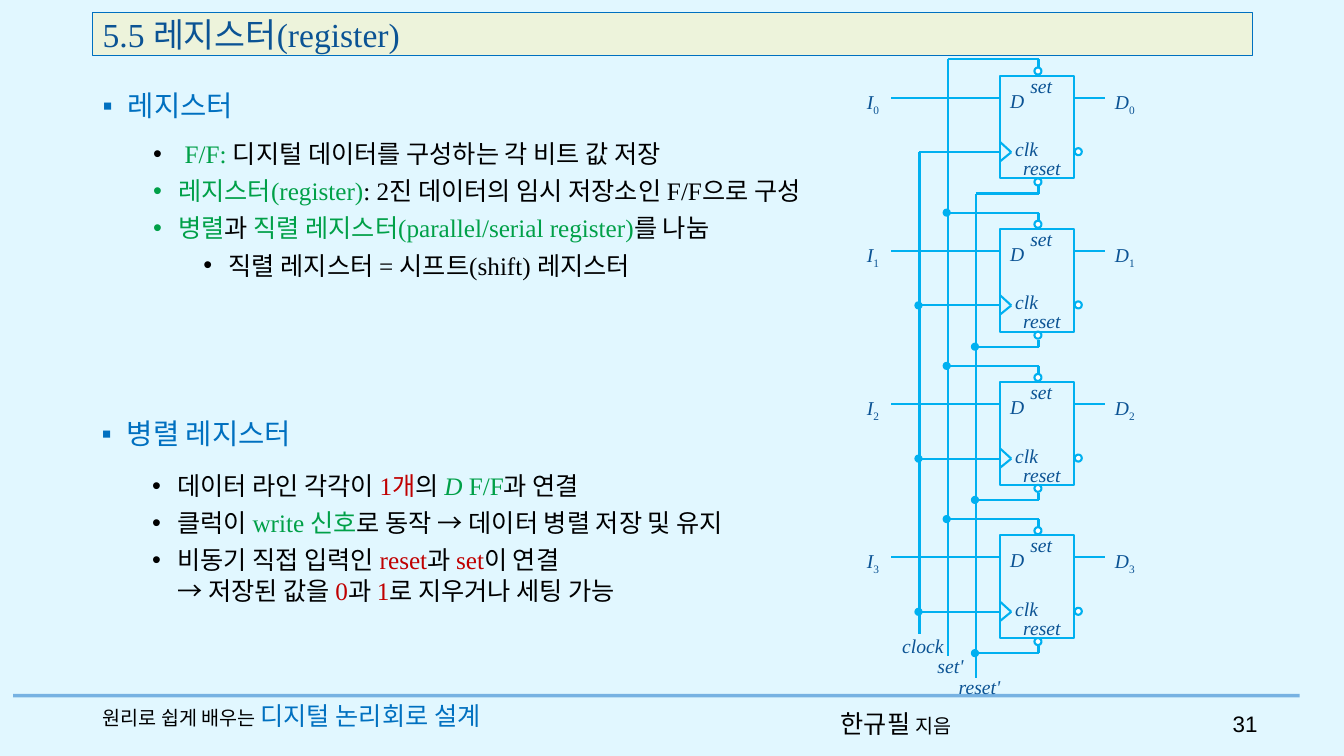
from lxml import etree
from pptx import Presentation
from pptx.dml.color import RGBColor
from pptx.enum import shapes, text
from pptx.oxml import ns
from pptx.util import Inches, Pt

# Content: a run is (text, colour) or (text, colour, {font option: value})
SERIF, KOREAN = "Times New Roman", "Noto Sans CJK KR"
BLACK, GREEN, RED, BLUE = "000000", "00A048", "C00000", "0070C0"
NAVY, WIRE, PAPER, WHITE = "0B5394", "00B0F0", "E1F7FF", "FFFFFF"

TITLE = "5.5 레지스터(register)"
HEADINGS = [("레지스터", 0.92, 0.91), ("병렬 레지스터", 0.91, 4.17)]
# Each bullet is (indent, runs)
BULLETS = [
    ((0.92, 1.32, 7.74, 1.99), [
        (0.75, [(" ", BLACK), ("F/F:", GREEN),
                (" 디지털 데이터를 구성하는 각 비트 값 저장", BLACK)]),
        (0.75, [("레지스터(register)", GREEN),
                (": 2진 데이터의 임시 저장소인 F/F으로 구성", BLACK)]),
        (0.75, [("병렬", GREEN), ("과 ", BLACK),
                ("직렬 레지스터(parallel/serial register)", GREEN), ("를 나눔", BLACK)]),
        (1.25, [("직렬 레지스터 = 시프트(shift) 레지스터", BLACK)]),
    ]),
    ((0.91, 4.61, 6.92, 1.91), [
        (0.75, [("데이터 라인 각각이 ", BLACK), ("1개", RED), ("의 ", BLACK),
                ("D ", GREEN, {"italic": True}), ("F/F", GREEN), ("과 연결", BLACK)]),
        (0.75, [("클럭이 ", BLACK), ("write 신호", GREEN),
                ("로 동작 → 데이터 병렬 저장 및 유지", BLACK)]),
        (0.75, [("비동기 직접 입력인 ", BLACK), ("reset", RED), ("과 ", BLACK),
                ("set", RED), ("이 연결 \n→ 저장된 값을 ", BLACK), ("0", RED),
                ("과 ", BLACK), ("1", RED), ("로 지우거나 세팅 가능", BLACK)]),
    ]),
]
BOOK = [("원리로 쉽게 배우는 ", BLACK, {"size": Pt(14)}),
        ("디지털 논리회로 설계", BLUE, {"size": Pt(18)})]
AUTHOR = [("한규필 ", BLACK, {"size": Pt(18)}), ("지음", BLACK, {"size": Pt(14)})]
PAGE = "31"

# Circuit: bus x, top, bottom; label text, left, top, width
CLOCK_X, SET_X, RESET_X = 9.12, 9.4, 9.68
BUSES = [(CLOCK_X, 1.51, 6.29), (SET_X, 0.59, 6.51), (RESET_X, 1.92, 6.73)]
BUS_LABELS = [("clock", 8.85, 6.24, 0.62), ("set'", 9.2, 6.44, 0.46),
              ("reset'", 9.41, 6.65, 0.62)]
# Pin labels: text, left, offset from flip-flop top, width
PIN_LABELS = [("D", 9.92, 0.08, 0.34), ("clk", 9.97, 0.56, 0.43),
              ("set", 10.12, -0.07, 0.42), ("reset", 10.05, 0.75, 0.58)]
DATA_LABELS = [("I", 8.5, 0.33), ("D", 10.96, 0.41)]
FF_COUNT, FF_TOP, FF_PITCH = 4, 0.75, 1.52
FF_LEFT, FF_WIDTH, FF_HEIGHT, PIN_X = 9.92, 0.73, 1.02, 10.3
BUBBLE, DOT = 0.07, 0.06

prs = Presentation()
prs.slide_width, prs.slide_height = Inches(13.33), Inches(7.5)
s = prs.slides.add_slide(prs.slide_layouts[6])


def rgb(value):
    return RGBColor.from_string(value)


def sub(parent, tag, **attrs):
    return etree.SubElement(parent, ns.qn(tag), attrs)


def fill_paragraph(p, runs, size, font=SERIF, bullet=None, indent=0):
    if bullet:
        pPr = p._p.get_or_add_pPr()
        pPr.set("marL", str(Inches(indent)))
        pPr.set("indent", str(Inches(-0.25)))
        sub(pPr, "a:buFont", typeface="Arial")
        sub(pPr, "a:buChar", char=bullet)
    p.font.size, p.font.name = Pt(size), font
    sub(p._p.pPr.find(ns.qn("a:defRPr")), "a:ea", typeface=KOREAN)
    for content, color, *options in runs:
        for n, part in enumerate(content.split("\n")):
            if n:
                p.add_line_break()
            r = p.add_run()
            r.text = part
            r.font.color.rgb = rgb(color)
            for key, value in (options[0] if options else {}).items():
                setattr(r.font, key, value)


def text_box(x, y, w, h, anchor=text.MSO_ANCHOR.TOP, wrap=True):
    tf = s.shapes.add_textbox(*map(Inches, (x, y, w, h))).text_frame
    tf.word_wrap, tf.vertical_anchor = wrap, anchor
    return tf


def shape(kind, x, y, w, h, fill, line=WIRE, width=1.5):
    sp = s.shapes.add_shape(kind, *map(Inches, (x, y, w, h)))
    sp.shadow.inherit = False
    sp.fill.solid()
    sp.fill.fore_color.rgb = rgb(fill)
    sp.line.color.rgb, sp.line.width = rgb(line), Pt(width)
    return sp


def circle(x, y, size, fill):
    shape(shapes.MSO_SHAPE.OVAL, x, y, size, size, fill)


def wire(x1, y1, x2, y2, color=WIRE, width=1.5):
    c = s.shapes.add_connector(shapes.MSO_CONNECTOR.STRAIGHT,
                               *map(Inches, (x1, y1, x2, y2)))
    c.line.color.rgb, c.line.width = rgb(color), Pt(width)
    sub(c._element.spPr, "a:effectLst")
    return c


def label(name, x, y, w, index=None):
    runs = [(name, NAVY, {"italic": True})]
    if index is not None:
        runs.append((str(index), NAVY))
    p = text_box(x, y, w, 0.34, wrap=False).paragraphs[0]
    fill_paragraph(p, runs, 14)
    if index is not None:
        p.runs[1].font._element.set("baseline", "-25000")


def tap(bus_x, y, end_x, joined):
    """Branch from a bus, with a dot where the bus runs on."""
    wire(bus_x, y, end_x, y)
    if joined:
        circle(bus_x - 0.04, y - 0.03, DOT, WIRE)


def flip_flop(i):
    top = FF_TOP + i * FF_PITCH
    right, bottom = FF_LEFT + FF_WIDTH, top + FF_HEIGHT
    data_y, clock_y = top + 0.22, top + 0.76
    set_y, reset_y = top - 0.16, bottom + 0.15
    shape(shapes.MSO_SHAPE.RECTANGLE, FF_LEFT, top, FF_WIDTH, FF_HEIGHT, PAPER)
    # Data and clock pins
    wire(8.84, data_y, FF_LEFT, data_y)
    wire(right, data_y, 10.96, data_y)
    for dy in (-0.1, 0.09):
        wire(FF_LEFT, clock_y + dy, 10.03, clock_y)
    circle(right + 0.01, clock_y - 0.04, BUBBLE, WHITE)
    # Set and reset pins
    wire(PIN_X, set_y, PIN_X, top - 0.08)
    wire(PIN_X, bottom + 0.08, PIN_X, reset_y)
    for y in (top - 0.08, bottom):
        circle(PIN_X - 0.04, y, BUBBLE, WHITE)
    # Branches from the three buses
    for bus_x, y, end_x in [(CLOCK_X, clock_y, FF_LEFT), (SET_X, set_y, PIN_X),
                            (RESET_X, reset_y, PIN_X)]:
        tap(bus_x, y, end_x, joined=i > 0)
    for name, x, dy, w in PIN_LABELS:
        label(name, x, top + dy, w)
    for name, x, w in DATA_LABELS:
        label(name, x, top + 0.09, w, i)


# Background and footer
s.background.fill.solid()
s.background.fill.fore_color.rgb = rgb(PAPER)
rule = wire(0.13, 6.9, 12.89, 6.9, "0F6FC6", 2.5)
sub(rule._element.spPr.find(".//" + ns.qn("a:srgbClr")), "a:alpha", val="50000")
MIDDLE = text.MSO_ANCHOR.MIDDLE
fill_paragraph(text_box(8.24, 6.98, 1.53, 0.4, MIDDLE).paragraphs[0], AUTHOR, 18, KOREAN)
fill_paragraph(text_box(0.92, 6.9, 4.63, 0.4, MIDDLE).paragraphs[0], BOOK, 18)
p = text_box(11.95, 6.98, 0.62, 0.4, MIDDLE).paragraphs[0]
p.alignment = text.PP_ALIGN.RIGHT
fill_paragraph(p, [(PAGE, BLACK)], 16, "Arial")

# Title bar
tf = shape(shapes.MSO_SHAPE.RECTANGLE, 0.92, 0.12, 11.5, 0.43,
           "EDF3DB", BLUE, 0.75).text_frame
tf.vertical_anchor = MIDDLE
tf.paragraphs[0].alignment = text.PP_ALIGN.LEFT
fill_paragraph(tf.paragraphs[0], [(TITLE, NAVY)], 24)

# Headings and bullets
for heading, x, y in HEADINGS:
    tf = text_box(x, y, 6.63, 0.43)
    tf.margin_top = 0
    tf.paragraphs[0].line_spacing = 0.9
    fill_paragraph(tf.paragraphs[0], [(heading, BLUE)], 20.4, bullet="▪", indent=0.25)
for box, items in BULLETS:
    tf = text_box(*box)
    for n, (indent, runs) in enumerate(items):
        p = tf.add_paragraph() if n else tf.paragraphs[0]
        p.line_spacing = Pt(22)
        if n:
            p.space_before = Pt(4.5)
        fill_paragraph(p, runs, 18, bullet="•", indent=indent)

# Parallel register circuit
for x, y1, y2 in BUSES:
    wire(x, y1, x, y2)
for i in range(FF_COUNT):
    flip_flop(i)
for bus_label in BUS_LABELS:
    label(*bus_label)

prs.save("out.pptx")
